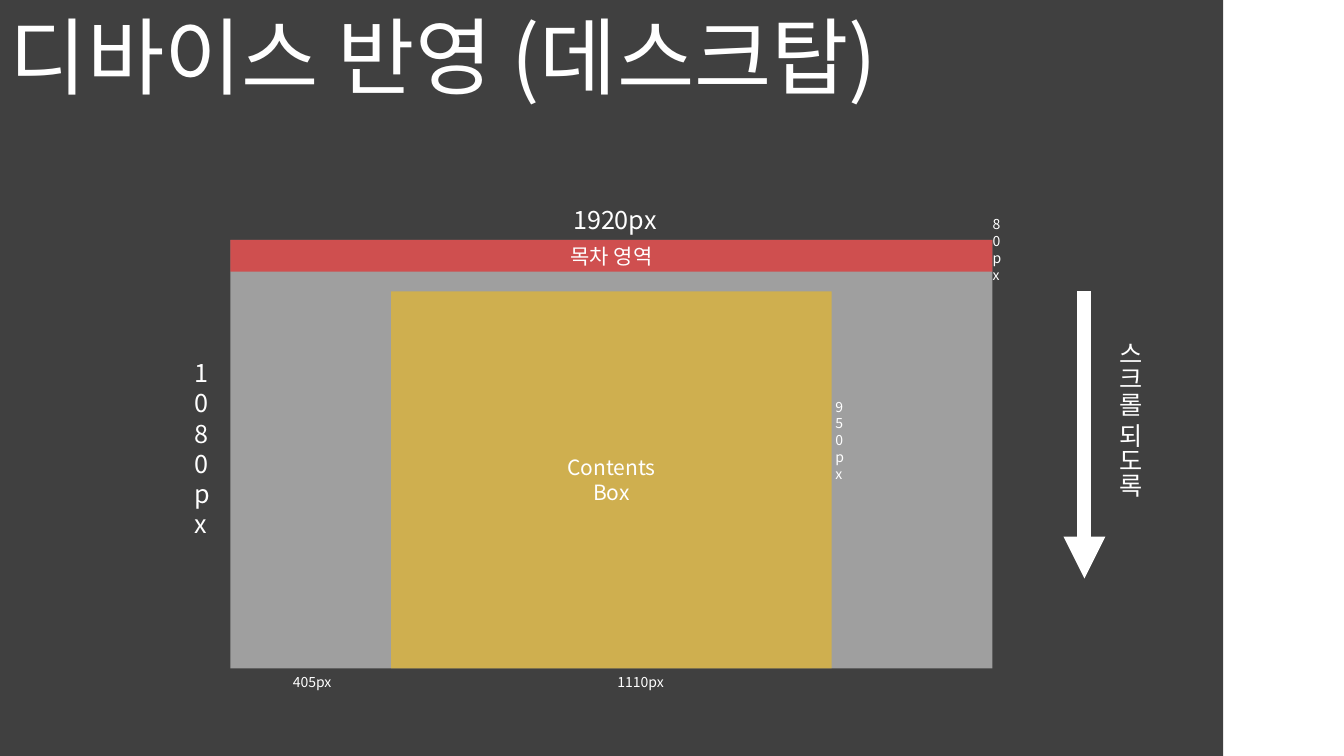
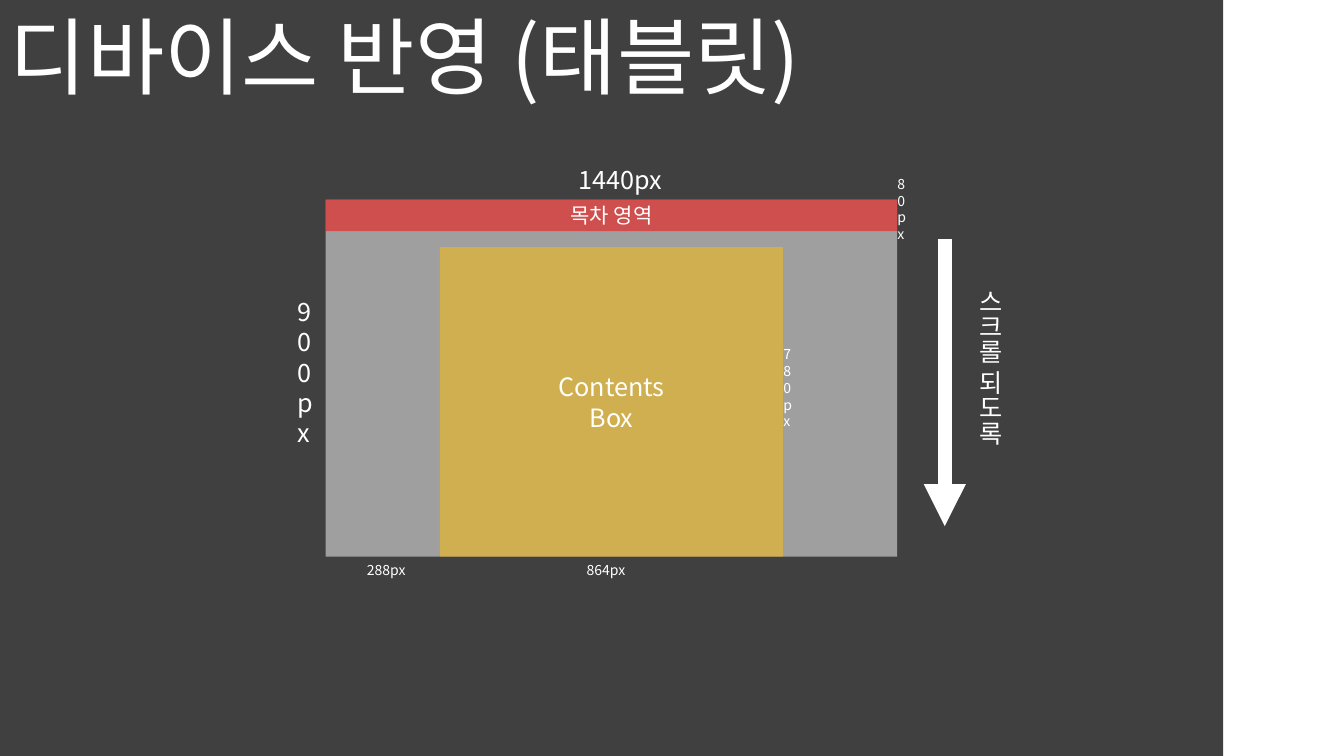
from pptx import Presentation
from pptx.dml.color import RGBColor
from pptx.enum.shapes import MSO_CONNECTOR, MSO_SHAPE
from pptx.enum.text import MSO_ANCHOR, PP_ALIGN
from pptx.oxml.ns import qn
from pptx.util import Inches, Pt
from lxml.etree import SubElement

WIDE, HIGH = 13.33, 7.5
PANEL = 0.91 * WIDE
DPI = 254  # screen pixels per inch of slide
FONT = "Noto Sans CJK KR"
WHITE, DARK, RED, GOLD = "FFFFFF", "404040", "FF0000", "FFC000"
BAR = 80

# Screen sizes are in pixels; label and arrow offsets are in inches.
DESK = {
    "title": "디바이스 반영 (데스크탑)", "top": 2.38,
    "screen": (1920, 1080), "body": (1110, 950), "side": 405, "size": 15,
    "head": 3.3, "tall": -0.36, "deep": (6, 1.52),
    "foot": (2.91, 0.52), "arrow": (8.47, 0.51),
}
TABLET = {
    "title": "디바이스 반영 (태블릿)", "top": 1.98,
    "screen": (1440, 900), "body": (864, 780), "side": 288, "size": 18,
    "head": 2.41, "tall": -0.28, "deep": (4.54, 1.4),
    "foot": (2.49, 0.31), "arrow": (6.14, 0.39),
}


def paint(color, code):
    """Set a colour from a hex string."""
    color.rgb = RGBColor.from_string(code)


def style(item, **values):
    """Set each named format value on an item."""
    for name, value in values.items():
        setattr(item, name, value)


def write(shape, words, size, align=PP_ALIGN.LEFT, **form):
    """Put white text into a shape."""
    frame = shape.text_frame
    style(frame, word_wrap=True, **form)
    frame.text = words
    for para in frame.paragraphs:
        para.alignment = align
        for run in para.runs:
            style(run.font, size=Pt(size), name=FONT)
            paint(run.font.color, WHITE)
            SubElement(run._r.get_or_add_rPr(), qn("a:ea"), typeface=FONT)


def label(slide, box, words, size, **form):
    """Add a text box."""
    shape = slide.shapes.add_textbox(*map(Inches, box))
    write(shape, words, size, **form)
    return shape


def stack(slide, left, top, words, size):
    """Add a label one letter wide, so that its letters stack."""
    box = left, top, size / 120, len(words) * size / 60 + 0.1
    label(slide, box, words, size, margin_left=0, margin_right=0)


def block(slide, box, code, alpha=None, words="", size=15):
    """Add a filled rectangle, with centred text if there is any."""
    shape = slide.shapes.add_shape(MSO_SHAPE.RECTANGLE, *map(Inches, box))
    shape.shadow.inherit = False
    shape.line.fill.background()
    shape.fill.solid()
    paint(shape.fill.fore_color, code)
    if alpha:
        tint = shape.element.spPr.find(".//" + qn("a:srgbClr"))
        SubElement(tint, qn("a:alpha"), val=str(alpha * 1000))
    if words:
        write(shape, words, size, PP_ALIGN.CENTER,
              vertical_anchor=MSO_ANCHOR.MIDDLE)


def scroll(slide, left, top):
    """Draw the scroll arrow and its vertical caption."""
    ends = map(Inches, (left, top, left, top + 2.85))
    arrow = slide.shapes.add_connector(MSO_CONNECTOR.STRAIGHT, *ends)
    arrow.line.width = Pt(10)
    paint(arrow.line.color, WHITE)
    SubElement(arrow.line._get_or_add_ln(), qn("a:tailEnd"), type="triangle")
    SubElement(arrow.element.spPr, qn("a:effectLst"))
    note = label(slide, (left + 0.15, top + 0.4, 0.5, 2.04), "스크롤 되도록", 18)
    note.element.find(".//" + qn("a:bodyPr")).set("vert", "eaVert")


def screen(slide, dev):
    """Draw a device screen to scale, centred on the panel."""
    wide, high = (n / DPI for n in dev["screen"])
    across, deep = (n / DPI for n in dev["body"])
    left, top = (PANEL - wide) / 2, dev["top"]
    base = top + high
    block(slide, (left, top, wide, high), WHITE, 50)
    block(slide, (left, top, wide, BAR / DPI), RED, 50, "목차 영역")
    block(slide, (left + dev["side"] / DPI, base - deep, across, deep),
          GOLD, 50, "Contents\nBox", dev["size"])

    label(slide, (left + dev["head"], top - 0.4, 2.71, 0.4),
          f"{dev['screen'][0]}px", 18)
    for shift, count in zip(dev["foot"], (dev["body"][0], dev["side"])):
        if dev is DESK and count == dev["body"][0]:
            shift += 0.83
        label(slide, (left + shift, base, 2.71, 0.27), f"{count}px", 10)

    tall = f"{dev['screen'][1]}px"
    stack(slide, left + dev["tall"], top + high / 2 - len(tall) * 0.15 - 0.11,
          tall, 18)
    right, down = dev["deep"]
    stack(slide, left + right, top + down, f"{dev['body'][1]}px", 10)
    stack(slide, left + wide, top - 0.29, f"{BAR}px", 10)
    right, down = dev["arrow"]
    scroll(slide, left + right, top + down)


def page(deck, dev):
    """Add one device slide: panel, title and screen."""
    slide = deck.slides.add_slide(deck.slide_layouts[6])
    block(slide, (0, 0, PANEL, HIGH), DARK)
    label(slide, (0, 0, 11.86, 1.11), dev["title"], 60)
    screen(slide, dev)


deck = Presentation()
style(deck, slide_width=Inches(WIDE), slide_height=Inches(HIGH))
for dev in (DESK, TABLET):
    page(deck, dev)
deck.save("out.pptx")
